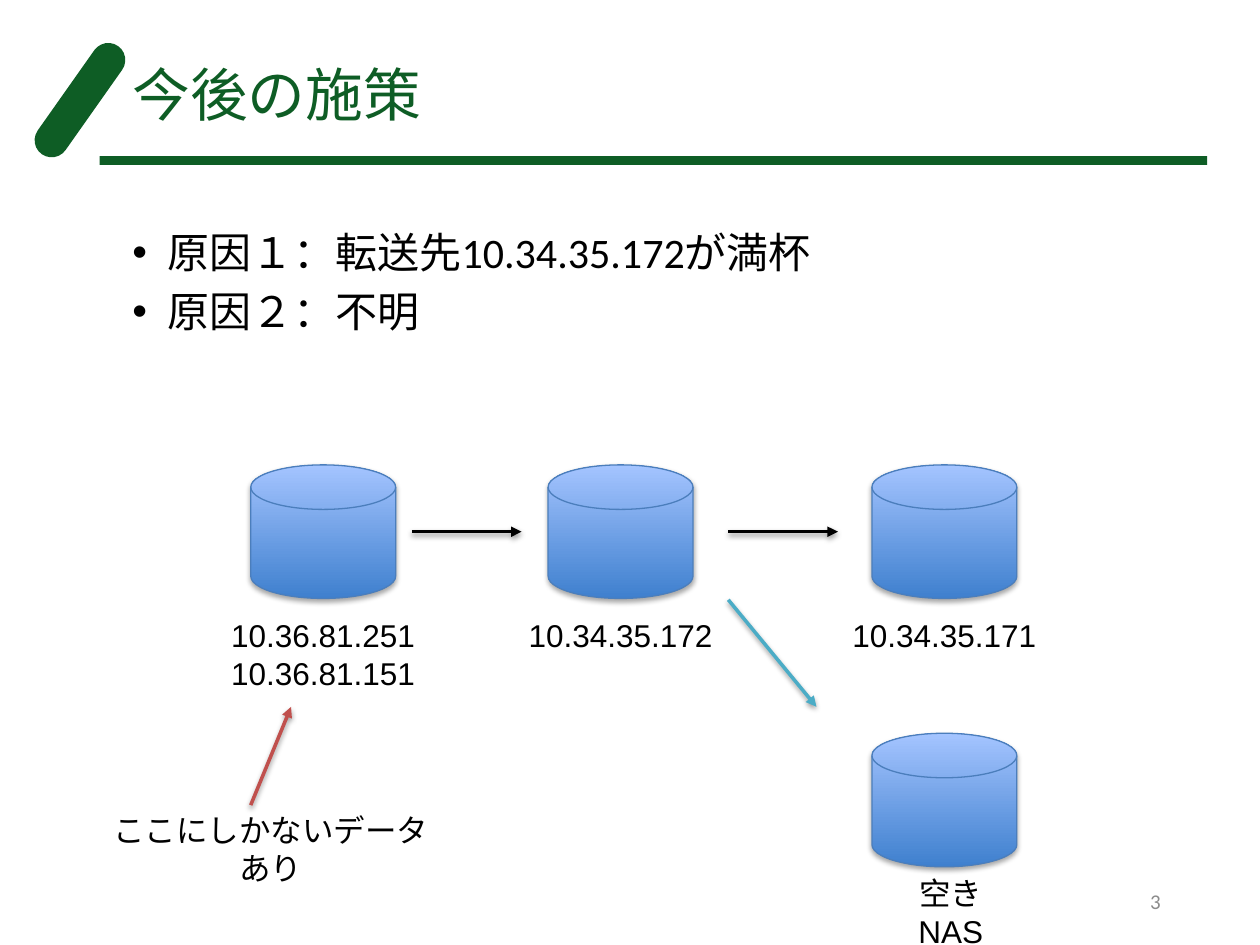
from dataclasses import dataclass

import lxml.etree
import pptx
import pptx.dml.color
import pptx.enum.shapes
import pptx.enum.text
import pptx.oxml.ns
import pptx.util

Inches = pptx.util.Inches
Pt = pptx.util.Pt
Kind = pptx.enum.shapes.MSO_SHAPE
Align = pptx.enum.text.PP_ALIGN
Anchor = pptx.enum.text.MSO_ANCHOR
Fit = pptx.enum.text.MSO_AUTO_SIZE
qn = pptx.oxml.ns.qn

INK = {
    "green": "0E5D25", "black": "000000", "grey": "8C8C8C",
    "red": "C0504D", "teal": "4BACC6",
    "deep": "3F80CE", "light": "A4C4FF", "edge": "4B7EBC",
}
DISK_W, DISK_H = 1.15, 1.06


@dataclass
class Disk:
    """A storage drum, placed by its top left corner."""
    left: float
    top: float


@dataclass
class Arrow:
    """A straight arrow between two points."""
    start: tuple[float, float]
    end: tuple[float, float]
    ink: str = "black"


@dataclass
class Label:
    """A centred caption."""
    text: str
    left: float
    top: float
    width: float
    height: float = 0.4


ROW = 3.69
DISKS = [Disk(1.99, ROW), Disk(4.35, ROW), Disk(6.92, ROW), Disk(6.92, 5.82)]
MID = ROW + DISK_H / 2
ARROWS = [
    Arrow((3.27, MID), (4.14, MID)),
    Arrow((5.78, MID), (6.65, MID)),
    Arrow((5.78, 4.76), (6.48, 5.61), "teal"),
    Arrow((1.99, 6.39), (2.31, 5.61), "red"),
]
LABELS = [
    Label("10.36.81.251\n10.36.81.151", 1.73, 4.84, 1.67, 0.71),
    Label("10.34.35.172", 4.09, 4.84, 1.67),
    Label("10.34.35.171", 6.66, 4.84, 1.67),
    Label("空きNAS", 6.95, 6.89, 1.19),
    Label("ここにしかないデータあり", 0.72, 6.39, 2.86),
]


def rgb(ink: str) -> pptx.dml.color.RGBColor:
    """Look up a colour by name."""
    return pptx.dml.color.RGBColor.from_string(INK[ink])


def box(*sides: float) -> list[pptx.util.Length]:
    """Turn inches into lengths."""
    return [Inches(side) for side in sides]


def style(frame, size: float, ink: str, font: str, align=Align.LEFT) -> None:
    """Format every paragraph and run of a text frame."""
    for para in frame.paragraphs:
        para.alignment = align
        for run in para.runs:
            run.font.size = Pt(size)
            run.font.name = font
            run.font.color.rgb = rgb(ink)


def shade(shape, alpha: int, dist: float) -> None:
    """Give a shape a soft shadow that falls straight down."""
    root = lxml.etree.SubElement(shape.element.spPr, qn("a:effectLst"))
    outer = lxml.etree.SubElement(
        root, qn("a:outerShdw"), blurRad=str(int(Pt(3.1))),
        dist=str(int(Pt(dist))), dir="5400000", rotWithShape="0")
    color = lxml.etree.SubElement(outer, qn("a:srgbClr"), val=INK["black"])
    lxml.etree.SubElement(color, qn("a:alpha"), val=str(alpha * 1000))


def add_bar(slide, kind, *sides: float):
    """Add a plain green shape."""
    bar = slide.shapes.add_shape(kind, *box(*sides))
    bar.shadow.inherit = False
    bar.fill.solid()
    bar.fill.fore_color.rgb = rgb("green")
    bar.line.fill.background()
    return bar


def add_disk(slide, disk: Disk) -> None:
    """Add a drum with a blue gradient."""
    drum = slide.shapes.add_shape(
        Kind.FLOWCHART_MAGNETIC_DISK, *box(disk.left, disk.top, DISK_W, DISK_H))
    drum.fill.gradient()
    drum.fill.gradient_angle = 90
    for stop, ink in zip(drum.fill.gradient_stops, ("deep", "light")):
        stop.color.rgb = rgb(ink)
    drum.line.color.rgb = rgb("edge")
    drum.line.width = Pt(0.75)
    shade(drum, 35, 1.8)


def add_arrow(slide, arrow: Arrow) -> None:
    """Add a line with a triangle at its end."""
    line = slide.shapes.add_connector(
        pptx.enum.shapes.MSO_CONNECTOR.STRAIGHT, *box(*arrow.start, *arrow.end))
    line.line.color.rgb = rgb(arrow.ink)
    line.line.width = Pt(2)
    stroke = line.element.spPr.find(qn("a:ln"))
    lxml.etree.SubElement(stroke, qn("a:tailEnd"), type="triangle")
    shade(line, 38, 1.6)


def add_label(slide, label: Label) -> None:
    """Add a caption."""
    shape = slide.shapes.add_textbox(
        *box(label.left, label.top, label.width, label.height))
    frame = shape.text_frame
    frame.word_wrap = True
    frame.text = label.text
    style(frame, 18, "black", "Arial", Align.CENTER)


def fill_holder(holder, text: str, size: float, ink: str, *sides: float):
    """Place a placeholder and set its text."""
    holder.left, holder.top, holder.width, holder.height = box(*sides)
    frame = holder.text_frame
    frame.text = text
    frame.auto_size = Fit.NONE
    frame.vertical_anchor = Anchor.TOP
    style(frame, size, ink, "Calibri")
    return frame


def add_bullets(frame) -> None:
    """Give each paragraph a bullet, a hanging indent and a gap above."""
    for para in frame.paragraphs:
        para.space_before = Pt(4.8)
        props = para._p.get_or_add_pPr()
        props.set("marL", str(int(Inches(0.28))))
        props.set("indent", str(int(Inches(-0.28))))
        lxml.etree.SubElement(props, qn("a:buFont"), typeface="Arial")
        lxml.etree.SubElement(props, qn("a:buChar"), char="•")


def add_page(slide, text: str) -> None:
    """Add the page number."""
    shape = slide.shapes.add_textbox(*box(7.06, 6.95, 2.25, 0.4))
    shape.text_frame.text = text
    shape.text_frame.vertical_anchor = Anchor.MIDDLE
    shape.text_frame.word_wrap = True
    style(shape.text_frame, 12, "grey", "Calibri", Align.RIGHT)


def main() -> None:
    """Build and save the slide."""
    deck = pptx.Presentation()
    deck.slide_width, deck.slide_height = box(10, 7.5)
    slide = deck.slides.add_slide(deck.slide_layouts[1])
    slash = add_bar(slide, Kind.ROUNDED_RECTANGLE, 0.5, 0.27, 0.27, 1.05)
    slash.adjustments[0] = 0.5
    slash.rotation = 35.2
    add_bar(slide, Kind.RECTANGLE, 0.79, 1.24, 8.79, 0.07)
    fill_holder(slide.shapes.title, "今後の施策", 33, "green",
                0.95, 0.42, 8.55, 1.25)
    body = fill_holder(
        slide.placeholders[1], "原因１：転送先10.34.35.172が満杯\n原因２：不明",
        24, "black", 0.95, 1.75, 8.55, 4.95)
    add_bullets(body)
    add_page(slide, "3")
    for disk in DISKS:
        add_disk(slide, disk)
    for arrow in ARROWS:
        add_arrow(slide, arrow)
    for label in LABELS:
        add_label(slide, label)
    deck.save("out.pptx")


main()
